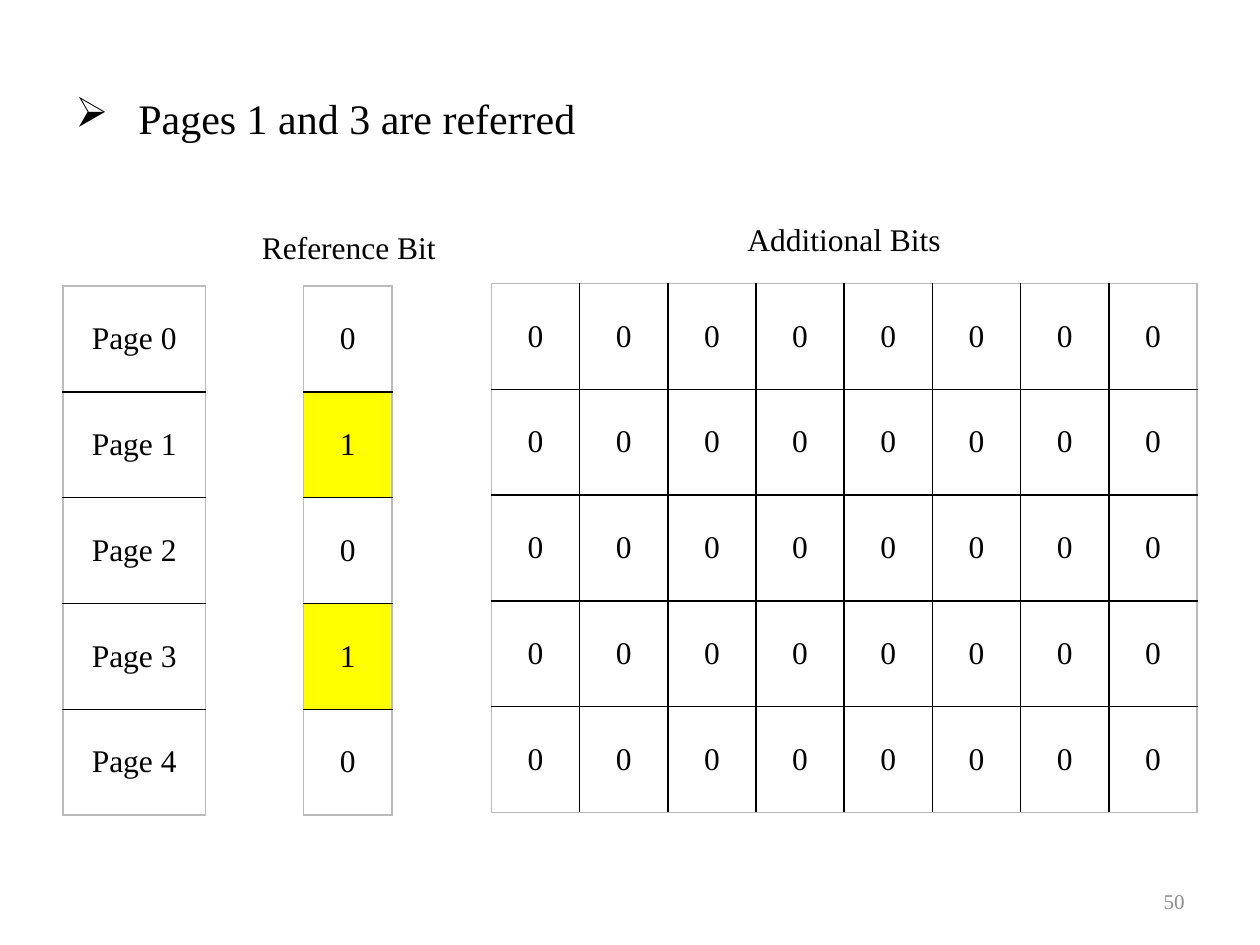
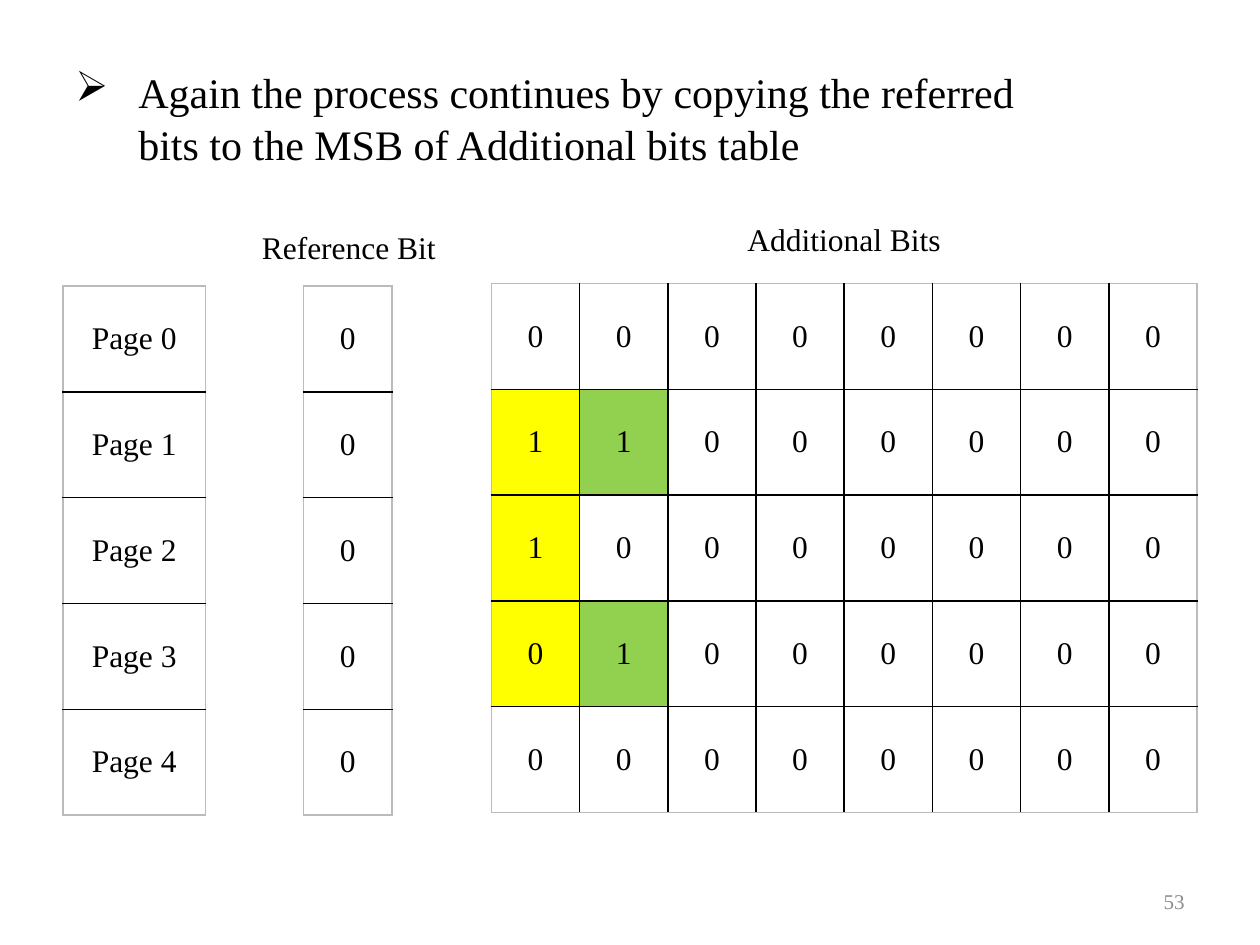
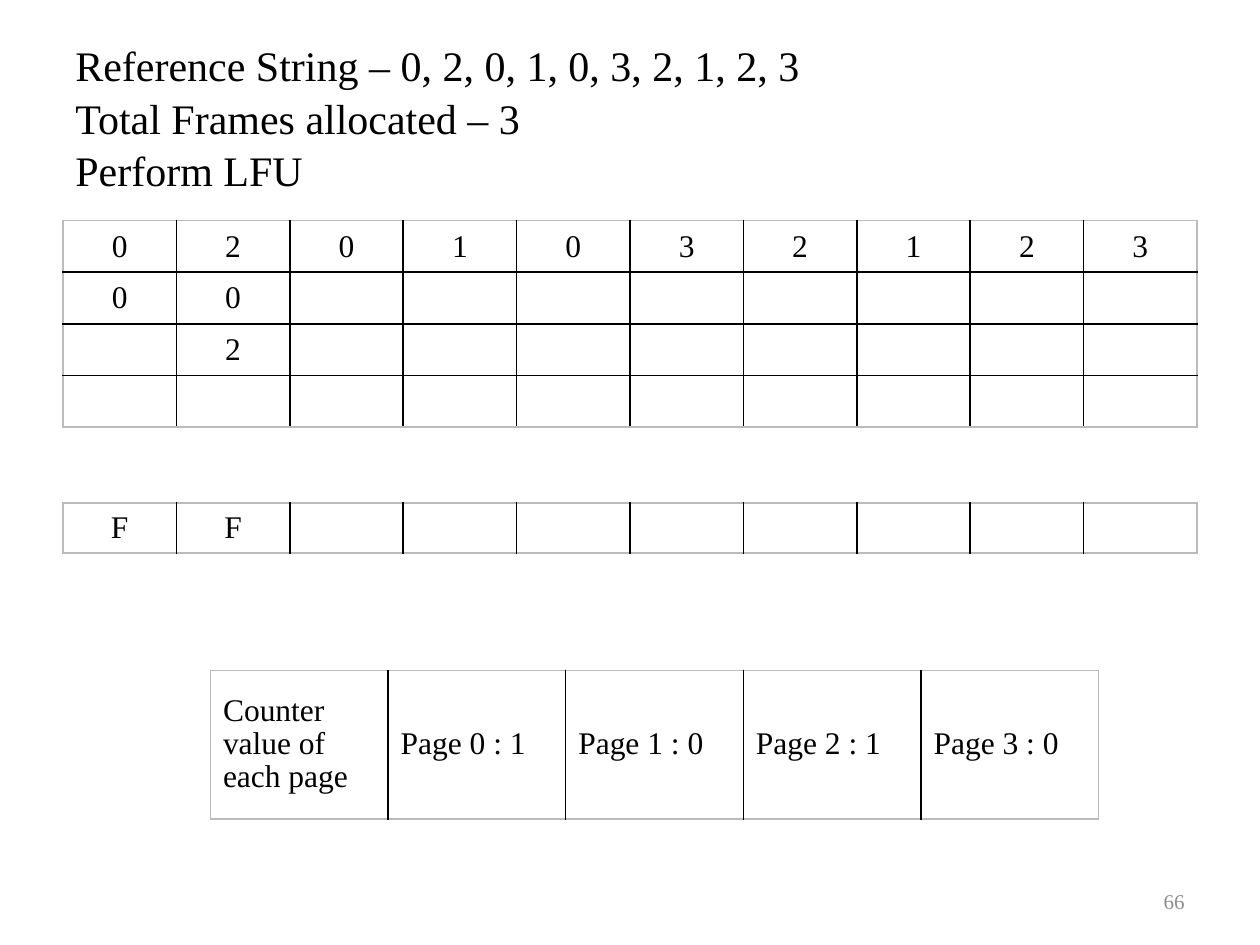
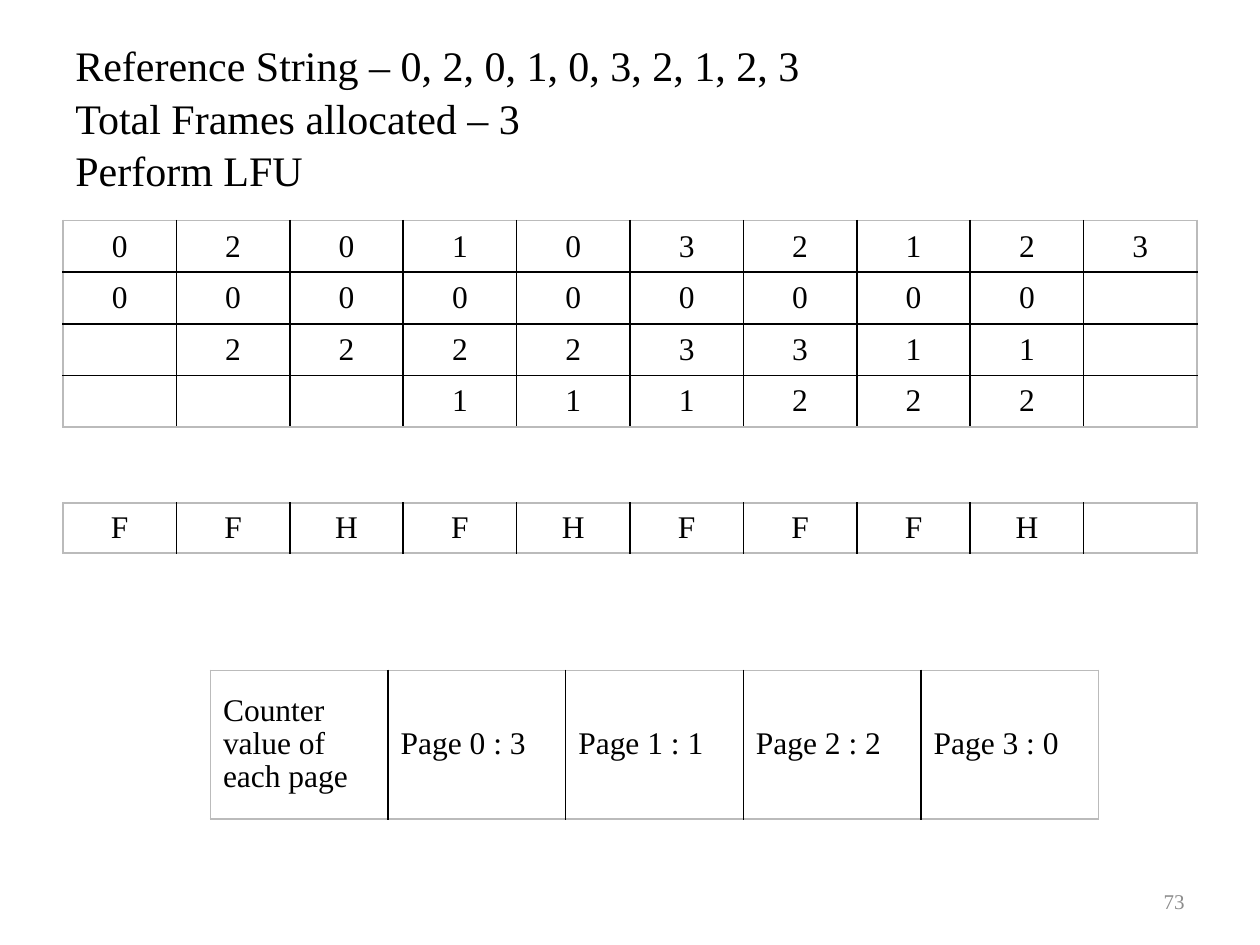
from pptx import Presentation
from pptx.util import Inches, Pt
from pptx.dml.color import RGBColor
from pptx.enum.text import MSO_ANCHOR, PP_ALIGN
from pptx.oxml.ns import qn
from lxml.etree import SubElement

BLACK = RGBColor(0x00, 0x00, 0x00)
WHITE = RGBColor(0xFF, 0xFF, 0xFF)
GREY = RGBColor(0x8C, 0x8C, 0x8C)
EDGE = RGBColor(0xBB, 0xBB, 0xBB)
YELLOW = RGBColor(0xFF, 0xFF, 0x00)
GREEN = RGBColor(0x92, 0xD0, 0x50)
FONT = "Times New Roman"

# Shared measures, in inches
WIDTH, HEIGHT = 10, 7.5
MARGIN = 0.05 * WIDTH
CONTENT = WIDTH - 2 * MARGIN
BIT, BIT_ROW = 0.7, 0.84
STEP, STEP_ROW = CONTENT / 10, 0.41
BITS_LEFT = WIDTH - MARGIN - 8 * BIT

PAGES = [[f"Page {number}"] for number in range(5)]
REFERENCES = "0201032123"
LFU_TITLE = ("Reference String – " + ", ".join(REFERENCES)
             + "\vTotal Frames allocated – 3\vPerform LFU")


def style(para, size, color=BLACK, align=PP_ALIGN.LEFT):
    para.alignment = align
    para.font.name = FONT
    para.font.size = Pt(size)
    para.font.color.rgb = color


def add_text(page, text, left, top, width, height, size, color=BLACK,
             align=PP_ALIGN.LEFT, anchor=MSO_ANCHOR.MIDDLE, bullet=None):
    box = page.shapes.add_textbox(Inches(left), Inches(top), Inches(width), Inches(height))
    frame = box.text_frame
    frame.word_wrap = True
    frame.vertical_anchor = anchor
    para = frame.paragraphs[0]
    para.text = text
    if bullet:
        properties = para._p.get_or_add_pPr()
        properties.set("marL", str(Inches(0.5)))
        properties.set("indent", str(-Inches(0.5)))
        SubElement(properties, qn("a:buChar")).set("char", bullet)
    style(para, size, color, align)
    return para


def add_title(page, text, width=CONTENT, bullet=None):
    para = add_text(page, text, MARGIN, 0.04 * HEIGHT, width, HEIGHT / 6, 24, bullet=bullet)
    para.line_spacing = 1.04


def add_page_number(page, number):
    width = 2.33
    add_text(page, str(number), WIDTH - MARGIN - width, 6.95, width, 0.4, 12,
             GREY, PP_ALIGN.RIGHT)


def set_borders(cell, colors):
    """Draw the left, right, top and bottom edge of a cell, before its fill."""
    properties = cell._tc.get_or_add_tcPr()
    for side, color in zip("LRTB", colors):
        line = SubElement(properties, qn(f"a:ln{side}"), w=str(Pt(1)))
        fill = SubElement(line, qn("a:solidFill"))
        SubElement(fill, qn("a:srgbClr"), val=str(color))


def add_grid(page, rows, left, top, column_width, row_height,
             fills=None, align=PP_ALIGN.CENTER, spacing=None):
    """Add a table; fills maps (row, column) to a cell colour."""
    row_count, column_count = len(rows), len(rows[0])
    table = page.shapes.add_table(
        row_count, column_count, Inches(left), Inches(top),
        Inches(column_width * column_count), Inches(row_height * row_count)).table
    table.first_row = table.horz_banding = False
    for column in table.columns:
        column.width = Inches(column_width)
    for row in table.rows:
        row.height = Inches(row_height)
    for r, values in enumerate(rows):
        for c, value in enumerate(values):
            cell = table.cell(r, c)
            outer = (c == 0, c == column_count - 1, r == 0, r == row_count - 1)
            set_borders(cell, [EDGE if edge else BLACK for edge in outer])
            cell.fill.solid()
            cell.fill.fore_color.rgb = (fills or {}).get((r, c), WHITE)
            cell.vertical_anchor = MSO_ANCHOR.MIDDLE
            para = cell.text_frame.paragraphs[0]
            para.text = value.strip()
            style(para, 18, align=align)
            if spacing:
                para.line_spacing = spacing


def add_bits_slide(page, title, title_width, references, bits, number,
                   reference_fills=None, bit_fills=None):
    """Page names, their reference bits and the additional bits."""
    add_title(page, title, title_width, "➢")
    add_grid(page, bits, BITS_LEFT, 2.25, BIT, BIT_ROW, bit_fills)
    add_grid(page, references, 2.41, 2.27, BIT, BIT_ROW, reference_fills)
    add_text(page, "Reference Bit", 1.98, 1.76, 1.89, 0.4, 18, anchor=MSO_ANCHOR.TOP)
    add_text(page, "Additional Bits", BITS_LEFT, 1.7, 8 * BIT, 0.4, 18,
             align=PP_ALIGN.CENTER, anchor=MSO_ANCHOR.TOP)
    add_grid(page, PAGES, MARGIN, 2.27, 1.13, BIT_ROW)
    add_page_number(page, number)


def add_lfu_slide(page, frames, faults, counts, number):
    """Frame contents per reference, fault or hit row, and page counters."""
    add_title(page, LFU_TITLE)
    rows = [REFERENCES] + [frame.ljust(10) for frame in frames]
    add_grid(page, rows, MARGIN, 1.75, STEP, STEP_ROW)
    add_grid(page, [faults.ljust(10)], MARGIN, 3.99, STEP, 0.4)
    counters = [f"Page {index} : {count}" for index, count in enumerate(counts)]
    add_grid(page, [["Counter value of each page"] + counters], 1.67, 5.32,
             1.41, 1.18, align=PP_ALIGN.LEFT, spacing=0.95)
    add_page_number(page, number)


def main():
    deck = Presentation()
    deck.slide_width, deck.slide_height = Inches(WIDTH), Inches(HEIGHT)
    blank = deck.slide_layouts[6]
    pages = [deck.slides.add_slide(blank) for _ in range(4)]

    # Additional reference bits
    add_bits_slide(pages[0], "Pages 1 and 3 are referred", CONTENT,
                   "01010", ["0" * 8] * 5, 50,
                   reference_fills={(1, 0): YELLOW, (3, 0): YELLOW})
    add_bits_slide(pages[1], "Again the process continues by copying the referred bits "
                   "to the MSB of Additional bits table", 7.96,
                   "0" * 5, [start.ljust(8, "0") for start in ("0", "11", "1", "01", "0")], 53,
                   bit_fills={(1, 0): YELLOW, (2, 0): YELLOW, (3, 0): YELLOW,
                              (1, 1): GREEN, (3, 1): GREEN})

    # Least frequently used replacement
    add_lfu_slide(pages[2], ["00", " 2", ""], "FF", "1010", 66)
    add_lfu_slide(pages[3], ["0" * 9, " 22223311", "   111222"], "FFHFHFFFH", "3120", 73)

    deck.save("out.pptx")


if __name__ == "__main__":
    main()
